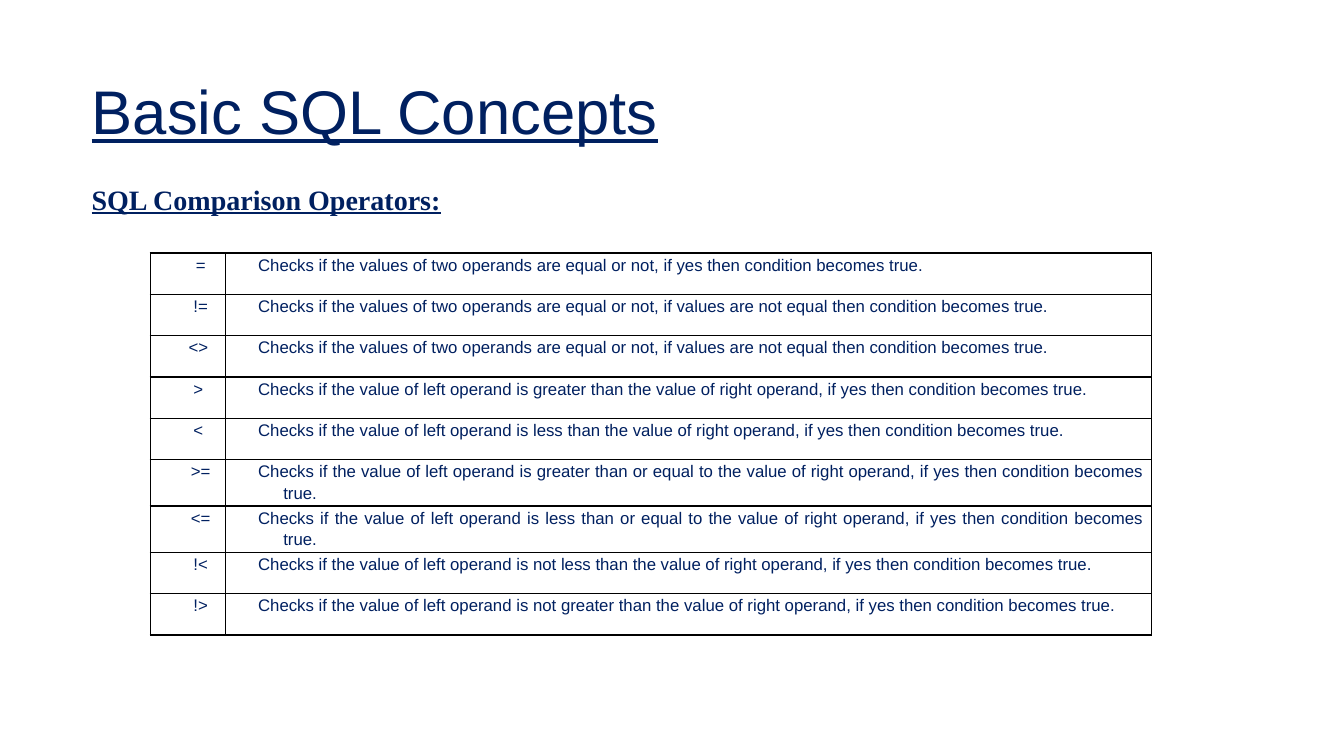
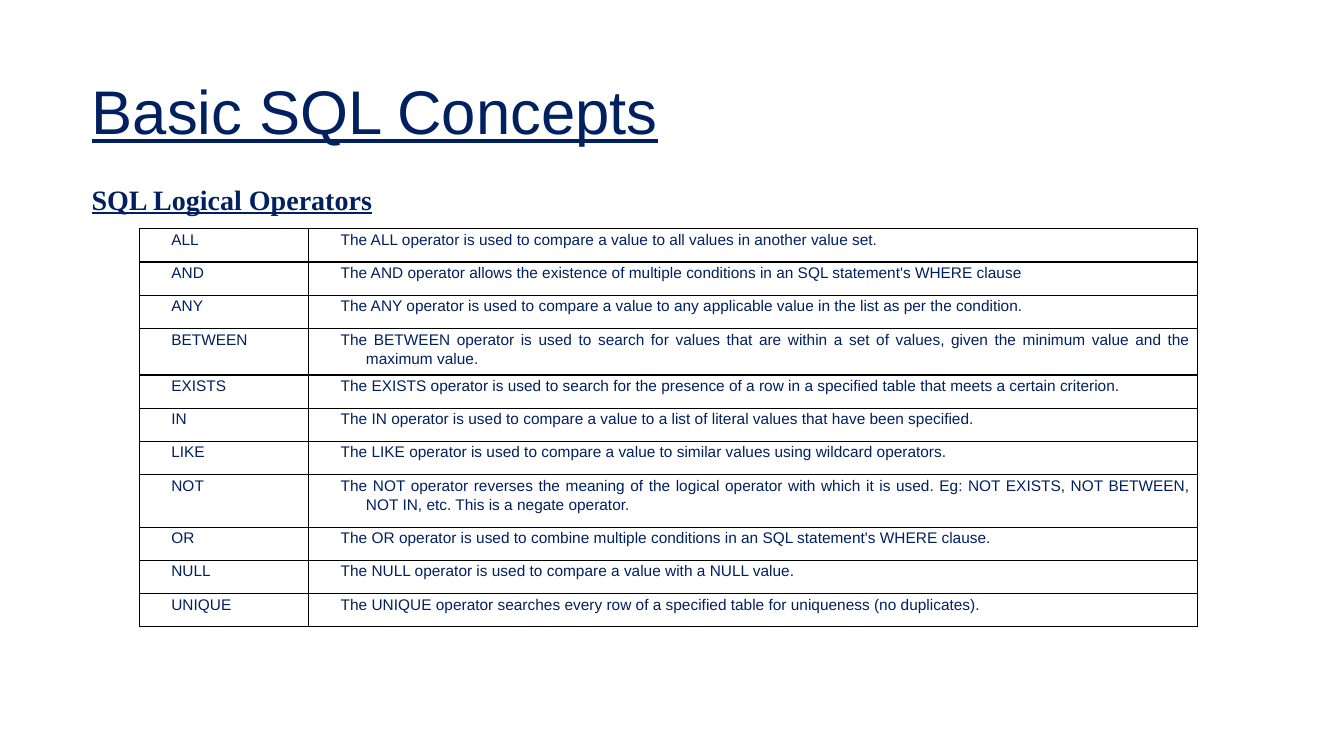
from lxml.etree import SubElement
from pptx import Presentation
from pptx.dml.color import RGBColor
from pptx.enum.text import MSO_ANCHOR, MSO_AUTO_SIZE, PP_ALIGN
from pptx.oxml.ns import qn
from pptx.util import Inches, Pt

# Shared style
COLORS = {"navy": "002060", "border": "000000"}
BODY_FONT, HEADING_FONT = "Arial", "Times New Roman"
TITLE = "Basic SQL Concepts"

# Content
COMPARISON_ROWS = [
    ("=", "Checks if the values of two operands are equal or not, if yes then condition becomes true."),
    ("!=", "Checks if the values of two operands are equal or not, if values are not equal then condition becomes true."),
    ("<> ", "Checks if the values of two operands are equal or not, if values are not equal then condition becomes true."),
    ("> ", "Checks if the value of left operand is greater than the value of right operand, if yes then condition becomes true."),
    ("< ", "Checks if the value of left operand is less than the value of right operand, if yes then condition becomes true."),
    (">=", "Checks if the value of left operand is greater than or equal to the value of right operand, if yes then condition becomes true."),
    ("<=", "Checks if the value of left operand is less than or equal to the value of right operand, if yes then condition becomes true."),
    ("!<", "Checks if the value of left operand is not less than the value of right operand, if yes then condition becomes true."),
    ("!>", "Checks if the value of left operand is not greater than the value of right operand, if yes then condition becomes true."),
]
LOGICAL_ROWS = [
    ("ALL", "The ALL operator is used to compare a value to all values in another value set."),
    ("AND", "The AND operator allows the existence of multiple conditions in an SQL statement's WHERE clause"),
    ("ANY", "The ANY operator is used to compare a value to any applicable value in the list as per the condition."),
    ("BETWEEN", "The BETWEEN operator is used to search for values that are within a set of values, given the minimum value and the maximum value."),
    ("EXISTS", "The EXISTS operator is used to search for the presence of a row in a specified table that meets a certain criterion."),
    ("IN", "The IN operator is used to compare a value to a list of literal values that have been specified."),
    ("LIKE", "The LIKE operator is used to compare a value to similar values using wildcard operators."),
    ("NOT", "The NOT operator reverses the meaning of the logical operator with which it is used. Eg: NOT EXISTS, NOT BETWEEN, NOT IN, etc. This is a negate operator."),
    ("OR", "The OR operator is used to combine multiple conditions in an SQL statement's WHERE clause."),
    ("NULL", "The NULL operator is used to compare a value with a NULL value."),
    ("UNIQUE", "The UNIQUE operator searches every row of a specified table for uniqueness (no duplicates)."),
]
# tall_rows: heights of the rows that differ from row_height
PAGES = [
    {"heading": "SQL Comparison Operators:", "rows": COMPARISON_ROWS,
     "left": 1.49, "top": 2.51, "columns": (0.75, 9.18), "row_height": 0.41,
     "tall_rows": {}, "size": 12, "operator_align": PP_ALIGN.CENTER},
    {"heading": "SQL Logical Operators", "rows": LOGICAL_ROWS,
     "left": 1.38, "top": 2.27, "columns": (1.68, 8.82), "row_height": 0.33,
     "tall_rows": {"BETWEEN": 0.46, "NOT": 0.52}, "size": 11,
     "operator_align": PP_ALIGN.JUSTIFY},
]


def write(frame, text, *, size, font=BODY_FONT, align=PP_ALIGN.JUSTIFY, spacing=1.0,
          after=0, bold=False, underline=False, hanging=False):
    para = frame.paragraphs[0]
    if hanging:
        properties = para._p.get_or_add_pPr()
        properties.set("marL", str(Inches(0.5)))
        properties.set("indent", str(Inches(-0.25)))
    para.alignment = align
    para.line_spacing = spacing
    para.space_before, para.space_after = Pt(0), Pt(after)
    span = para.add_run()
    span.text = text
    span.font.name, span.font.size = font, Pt(size)
    span.font.bold, span.font.underline = bold, underline
    span.font.color.rgb = RGBColor.from_string(COLORS["navy"])


def add_borders(cell):
    properties = cell._tc.get_or_add_tcPr()
    for side in ("a:lnL", "a:lnR", "a:lnT", "a:lnB"):
        line = SubElement(properties, qn(side), w=str(Pt(1)))
        fill = SubElement(line, qn("a:solidFill"))
        SubElement(fill, qn("a:srgbClr"), val=COLORS["border"])


def add_operator_table(page, content):
    rows, columns = content["rows"], content["columns"]
    heights = [content["tall_rows"].get(name, content["row_height"]) for name, _ in rows]
    table = page.shapes.add_table(
        len(rows), len(columns), Inches(content["left"]), Inches(content["top"]),
        Inches(sum(columns)), Inches(sum(heights))).table
    table.first_row = table.horz_banding = False
    for column, width in zip(table.columns, columns):
        column.width = Inches(width)
    aligns = (content["operator_align"], PP_ALIGN.JUSTIFY)
    for row, height, texts in zip(table.rows, heights, rows):
        row.height = Inches(height)
        for cell, text, align in zip(row.cells, texts, aligns):
            cell.margin_left = cell.margin_right = Inches(0.07)
            cell.margin_top = cell.margin_bottom = 0
            add_borders(cell)
            cell.fill.background()
            write(cell.text_frame, text, size=content["size"], align=align,
                  spacing=1.15, after=0.2, hanging=True)


def add_page(deck, content):
    page = deck.slides.add_slide(deck.slide_layouts[5])
    # Title
    title = page.shapes.title
    title.left, title.top = Inches(0.81), Inches(0.41)
    title.width, title.height = Inches(11.5), Inches(1.45)
    title.text_frame.vertical_anchor = MSO_ANCHOR.MIDDLE
    write(title.text_frame, TITLE, size=44, align=PP_ALIGN.LEFT, spacing=0.9, underline=True)
    # Heading
    box = page.shapes.add_textbox(Inches(0.81), Inches(1.59), Inches(11.42), Inches(0.55))
    box.text_frame.word_wrap = True
    box.text_frame.auto_size = MSO_AUTO_SIZE.SHAPE_TO_FIT_TEXT
    write(box.text_frame, content["heading"], size=20, font=HEADING_FONT,
          spacing=1.5, bold=True, underline=True)
    # Table
    add_operator_table(page, content)


def main():
    deck = Presentation()
    deck.slide_width, deck.slide_height = Inches(13.33), Inches(7.5)
    for content in PAGES:
        add_page(deck, content)
    deck.save("out.pptx")


if __name__ == "__main__":
    main()
